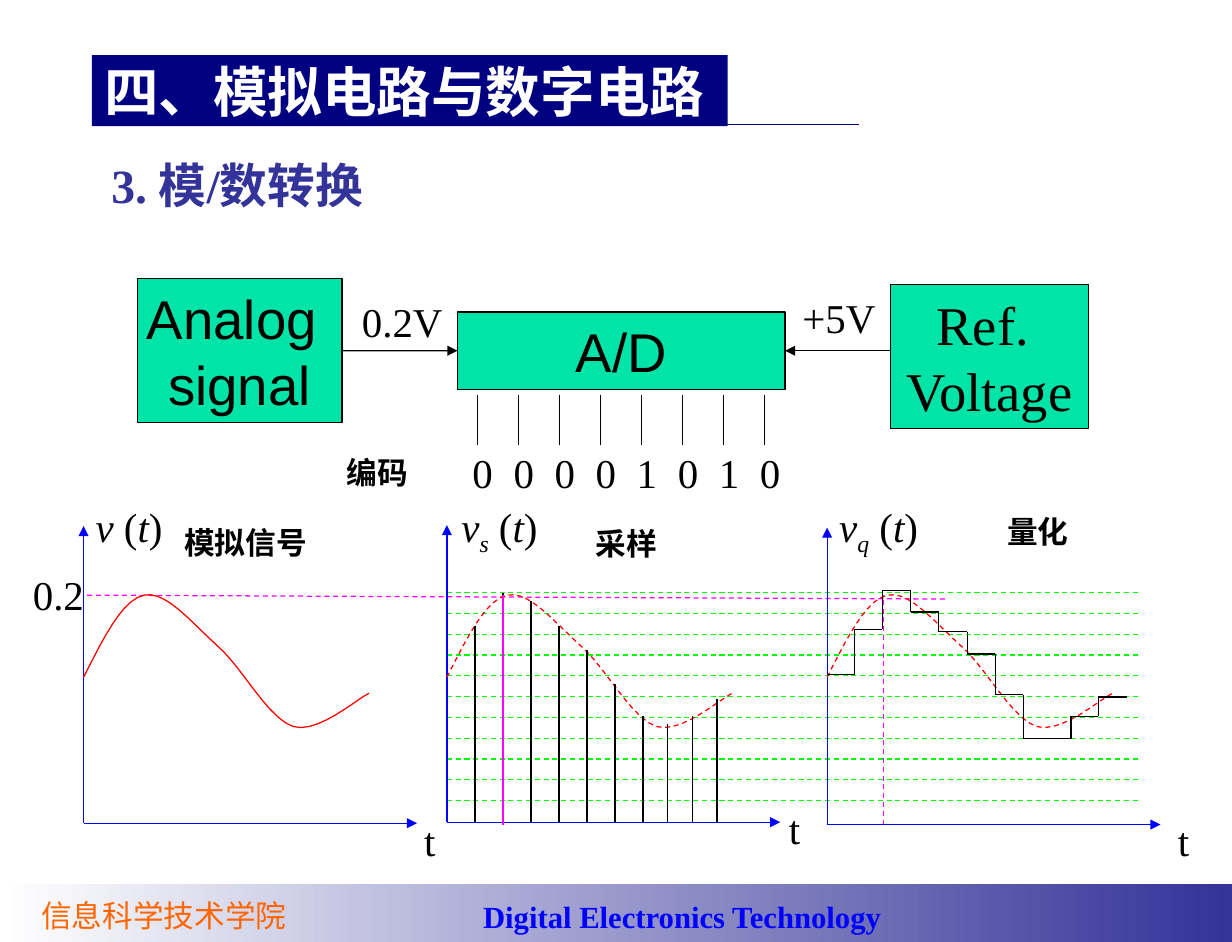
"""Builds a slide on analog-to-digital conversion: block diagram and three signal plots."""
from dataclasses import dataclass
from itertools import pairwise

from lxml.etree import SubElement
from pptx import Presentation
from pptx.dml.color import RGBColor
from pptx.enum.dml import MSO_LINE
from pptx.enum.shapes import MSO_CONNECTOR, MSO_SHAPE
from pptx.enum.text import MSO_ANCHOR, MSO_AUTO_SIZE, PP_ALIGN
from pptx.oxml.ns import qn
from pptx.util import Cm, Pt


@dataclass(frozen=True)
class Theme:
    """Colours, fonts and type sizes of the slide."""
    navy: RGBColor = RGBColor(0x00, 0x00, 0x80)
    indigo: RGBColor = RGBColor(0x33, 0x33, 0x99)
    blue: RGBColor = RGBColor(0x00, 0x00, 0xFF)
    orange: RGBColor = RGBColor(0xFF, 0x66, 0x00)
    mint: RGBColor = RGBColor(0x00, 0xE4, 0xA8)
    red: RGBColor = RGBColor(0xFF, 0x00, 0x00)
    green: RGBColor = RGBColor(0x00, 0xFF, 0x00)
    magenta: RGBColor = RGBColor(0xFF, 0x00, 0xFF)
    black: RGBColor = RGBColor(0x00, 0x00, 0x00)
    white: RGBColor = RGBColor(0xFF, 0xFF, 0xFF)
    serif: str = "Times New Roman"
    sans: str = "Arial"
    heading: str = "Roboto"
    chinese: str = "Noto Sans CJK SC"
    large: int = 32
    medium: int = 28
    normal: int = 24
    small: int = 18
    stroke: float = 0.75


THEME = Theme()
PLOT_BASE = 17.02
PIN_STEP = 0.85
SAMPLE_STEP = 0.58
CURVE = [(0, 3), (0.4, 3.78), (0.79, 4.6), (1.25, 4.7), (1.7, 4.8), (2.23, 4.14),
         (2.74, 3.68), (3.28, 3.23), (3.8, 2.16), (4.34, 1.98), (4.85, 1.83),
         (5.64, 2.54), (5.91, 2.67)]
SAMPLE_TOPS = [12.95, 12.27, 12.45, 12.95, 13.46, 14.15, 14.83, 14.99, 14.83, 14.48]
STEP_EDGES = [17.14, 17.68, 18.26, 18.85, 19.43, 20.02, 20.6, 21.18, 22.17, 22.73, 23.32]
STEP_LEVELS = [13.97, 13.03, 12.22, 12.67, 13.08, 13.54, 14.38, 15.29, 14.83, 14.43]


def style(paragraph, size, font, color, bold=False, align=PP_ALIGN.LEFT):
    """Format a whole paragraph."""
    paragraph.alignment = align
    paragraph.space_before = Pt(0)
    paragraph.font.size = Pt(size)
    paragraph.font.name = font
    paragraph.font.color.rgb = color
    paragraph.font.bold = bold


def place(shape, left, top, width, height):
    """Move and size a shape, in centimetres."""
    shape.left, shape.top, shape.width, shape.height = map(Cm, (left, top, width, height))


def text_box(slide, left, top, width, text="", size=THEME.normal, font=THEME.serif,
             color=THEME.black, bold=False, align=PP_ALIGN.LEFT):
    """Add a one-line text box and return its paragraph."""
    frame = slide.shapes.add_textbox(Cm(left), Cm(top), Cm(width), Cm(1.2)).text_frame
    frame.word_wrap = True
    paragraph = frame.paragraphs[0]
    paragraph.text = text
    style(paragraph, size, font, color, bold, align)
    return paragraph


def caption(slide, left, top, width, text):
    """Add a bold centred caption."""
    text_box(slide, left, top, width, text, THEME.small, THEME.heading,
             bold=True, align=PP_ALIGN.CENTER)


def signal_name(slide, left, subscript=""):
    """Add the name of a signal as a function of time."""
    paragraph = text_box(slide, left, 10.26, 2.4)
    for part in filter(None, ("v", subscript, " (", "t", ")")):
        run = paragraph.add_run()
        run.text = part
        run.font.italic = part.isalpha()
        if part == subscript:
            run._r.get_or_add_rPr().set("baseline", "-25000")


def block(slide, left, top, width, height, lines, font):
    """Add a block of the diagram."""
    box = slide.shapes.add_shape(MSO_SHAPE.RECTANGLE, Cm(left), Cm(top), Cm(width), Cm(height))
    box.shadow.inherit = False
    box.fill.solid()
    box.fill.fore_color.rgb = THEME.mint
    box.line.color.rgb = THEME.black
    box.line.width = Pt(THEME.stroke)
    frame = box.text_frame
    frame.margin_left = frame.margin_right = 0
    frame.text = "\n".join(lines)
    for paragraph in frame.paragraphs:
        style(paragraph, THEME.large, font, THEME.black, align=PP_ALIGN.CENTER)
    return box


def line(slide, start, end, color=THEME.black, dashed=False, arrow=False):
    """Add a straight line between two points."""
    connector = slide.shapes.add_connector(MSO_CONNECTOR.STRAIGHT, *map(Cm, (*start, *end)))
    connector.line.color.rgb = color
    connector.line.width = Pt(THEME.stroke)
    if dashed:
        connector.line.dash_style = MSO_LINE.DASH
    properties = connector._element.spPr
    if arrow:
        SubElement(properties.find(qn("a:ln")), qn("a:tailEnd"), type="triangle")
    SubElement(properties, qn("a:effectLst"))
    return connector


def axes(slide, left, base):
    """Add the time and value axes of a plot."""
    line(slide, (left, base), (left + 6.9, base), THEME.blue, arrow=True)
    line(slide, (left, base), (left, base - 6.15), THEME.blue, arrow=True)


def curve(slide, left, dashed=True):
    """Add the analog curve, sampled from its cubic segments."""
    points = [CURVE[0]]
    for first in range(0, len(CURVE) - 1, 3):
        for t in (step / 10 for step in range(1, 11)):
            weights = ((1 - t) ** 3, 3 * t * (1 - t) ** 2, 3 * t * t * (1 - t), t ** 3)
            points.append([sum(w * c for w, c in zip(weights, axis))
                           for axis in zip(*CURVE[first:first + 4])])
    outline = [(Cm(left + x), Cm(PLOT_BASE - y)) for x, y in points]
    builder = slide.shapes.build_freeform(*outline[0])
    builder.add_line_segments(outline[1:], close=False)
    wave = builder.convert_to_shape()
    wave.shadow.inherit = False
    wave.fill.background()
    wave.line.color.rgb = THEME.red
    wave.line.width = Pt(THEME.stroke)
    if dashed:
        wave.line.dash_style = MSO_LINE.DASH


def headings(slide):
    """Fill the title and the body placeholder."""
    title, topic = slide.placeholders
    place(title, 1.9, 1.14, 13.16, 1.47)
    title.fill.solid()
    title.fill.fore_color.rgb = THEME.navy
    title.text_frame.text = "四、模拟电路与数字电路"
    title.text_frame.vertical_anchor = MSO_ANCHOR.MIDDLE
    place(topic, 2.05, 3.1, 21.75, 1.75)
    topic.text_frame.text = "3. 模/数转换"
    topic_line = topic.text_frame.paragraphs[0]
    indents = topic_line._p.get_or_add_pPr()
    indents.set("marL", "0")
    indents.set("indent", "0")
    SubElement(indents, qn("a:buNone"))
    for placeholder in (title, topic):
        placeholder.text_frame.auto_size = MSO_AUTO_SIZE.NONE
    style(title.text_frame.paragraphs[0], THEME.large, THEME.heading, THEME.white,
          True, PP_ALIGN.JUSTIFY)
    style(topic_line, THEME.medium, THEME.serif, THEME.indigo, True)
    line(slide, (9.45, 2.58), (17.78, 2.58), THEME.navy)


def footer(slide):
    """Add the gradient bar with the school and course names."""
    bar = slide.shapes.add_shape(MSO_SHAPE.RECTANGLE, 0, Cm(18.29), Cm(25.5), Cm(1.21))
    bar.shadow.inherit = False
    bar.line.fill.background()
    bar.fill.gradient()
    bar.fill.gradient_angle = 0
    for stop, color in zip(bar.fill.gradient_stops, (THEME.white, THEME.indigo)):
        stop.color.rgb = color
    text_box(slide, 0.6, 18.44, 6, "信息科学技术学院", THEME.small, THEME.chinese, THEME.orange)
    text_box(slide, 9.75, 18.46, 9, "Digital Electronics Technology", THEME.small,
             color=THEME.blue, bold=True)


def converter_diagram(slide):
    """Add the converter with its inputs and its output code."""
    source = block(slide, 2.84, 5.77, 4.24, 2.98, ["Analog ", "signal"], THEME.sans)
    converter = block(slide, 9.47, 6.46, 6.78, 1.6, ["A/D"], THEME.sans)
    block(slide, 18.44, 5.89, 4.09, 2.98, ["Ref. ", "Voltage"], THEME.serif)
    signal_arrow = line(slide, (7.08, 7.26), (9.47, 7.26), arrow=True)
    signal_arrow.begin_connect(source, 3)
    signal_arrow.end_connect(converter, 1)
    line(slide, (18.44, 7.26), (16.25, 7.26), arrow=True).end_connect(converter, 3)
    text_box(slide, 7.24, 6.02, 2.4, "0.2V")
    text_box(slide, 16.36, 5.94, 2.3, "+5V")

    code = "00001010"
    bits = text_box(slide, 9.53, 9.14, 7.2, "\t".join(code))
    tabs = bits._p.get_or_add_pPr()
    stops = tabs.makeelement(qn("a:tabLst"))
    tabs.find(qn("a:defRPr")).addprevious(stops)
    for index in range(len(code)):
        pin = 9.88 + index * PIN_STEP
        line(slide, (pin, 8.18), (pin, 9.22))
        if index:
            SubElement(stops, qn("a:tab"), pos=str(Cm(index * PIN_STEP)), algn="l")
    caption(slide, 5.92, 9.27, 3.78, "编码")


def plots(slide):
    """Add the analog, sampled and quantized plots."""
    line(slide, (1.8, 12.32), (19.58, 12.4), THEME.magenta, dashed=True)
    line(slide, (18.29, 17.07), (18.29, 12.32), THEME.magenta, dashed=True)
    for index in range(11):
        level = 12.27 + index * 0.43
        line(slide, (9.25, level), (23.55, level), THEME.green, dashed=True)

    for left, base in ((1.73, 17.04), (9.25, 17.02), (17.12, 17.07)):
        axes(slide, left, base)
        curve(slide, left, dashed=left > 2)
    for left, top in ((8.53, 16.76), (16.08, 16.51), (24.13, 16.76)):
        text_box(slide, left, top, 0.8, "t")
    for left, subscript in ((1.73, ""), (9.3, "s"), (17.12, "q")):
        signal_name(slide, left, subscript)
    caption(slide, 3.2, 10.72, 3.76, "模拟信号")
    caption(slide, 11.07, 10.74, 3.78, "采样")
    caption(slide, 19.15, 10.49, 4.67, "量化")
    text_box(slide, 0.43, 11.66, 1.8, "0.2")

    for index, top in enumerate(SAMPLE_TOPS, 1):
        x = 9.25 + SAMPLE_STEP * min(index, 7) + 0.51 * max(index - 7, 0)
        line(slide, (x, PLOT_BASE), (x, top))
    line(slide, (10.41, 17.07), (10.41, 12.32), THEME.magenta)
    for (start, end), level in zip(pairwise(STEP_EDGES), STEP_LEVELS):
        line(slide, (start, level), (end, level))
    for edge, (before, after) in zip(STEP_EDGES[1:], pairwise(STEP_LEVELS)):
        line(slide, (edge, before), (edge, after))


def main():
    """Build and save the slide."""
    deck = Presentation()
    deck.slide_width, deck.slide_height = Cm(25.5), Cm(19.5)
    slide = deck.slides.add_slide(deck.slide_layouts[1])
    footer(slide)
    headings(slide)
    converter_diagram(slide)
    plots(slide)
    deck.save("out.pptx")


if __name__ == "__main__":
    main()
